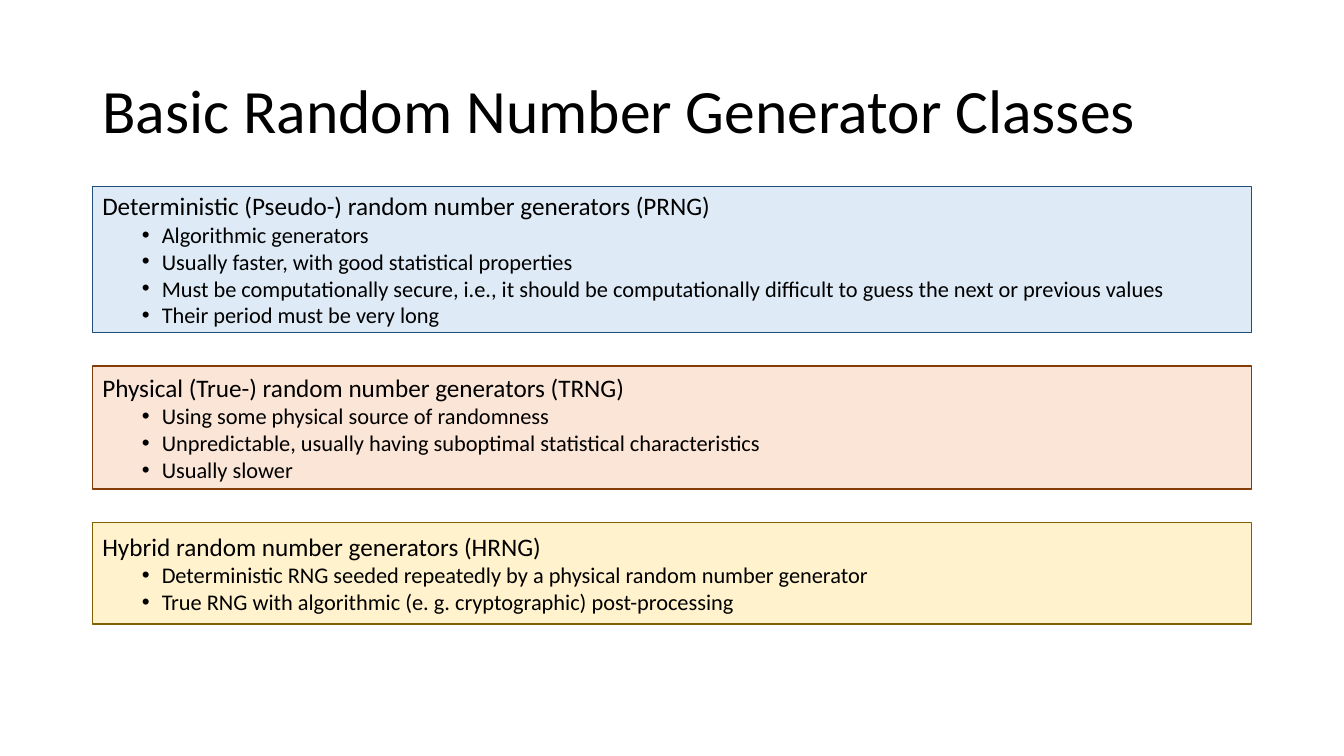
from lxml.etree import SubElement
from pptx import Presentation
from pptx.dml.color import RGBColor
from pptx.enum.shapes import MSO_SHAPE
from pptx.enum.text import MSO_ANCHOR, PP_ALIGN
from pptx.oxml.ns import qn
from pptx.util import Pt

COLORS = {
    "text": "000000",
    "blue": "DEEBF7", "navy": "1F4E79",
    "peach": "FBE5D6", "brown": "843C0B",
    "cream": "FFF2CC", "olive": "806000",
}
LEFT, WIDTH, GAP = 66, 828, 23.8


def color(name):
    return RGBColor.from_string(COLORS[name])


def write(frame, text, size=16, bullet=False, spacing=None):
    frame.word_wrap = True
    frame.vertical_anchor = MSO_ANCHOR.MIDDLE
    first = frame.paragraphs[0]
    para = frame.add_paragraph() if first.runs else first
    para.alignment = PP_ALIGN.LEFT
    if spacing:
        para.line_spacing = spacing
    if bullet:
        para.level = 1
        props = para._p.get_or_add_pPr()
        props.set("marL", str(Pt(42.5)))
        props.set("indent", str(Pt(-14.2)))
        SubElement(props, qn("a:buFont"), typeface="Arial")
        SubElement(props, qn("a:buChar"), char="•")
    run = para.add_run()
    run.text = text
    run.font.name = "Calibri"
    run.font.size = Pt(size)
    run.font.color.rgb = color("text")


deck = Presentation()
deck.slide_width, deck.slide_height = Pt(960), Pt(540)
slide = deck.slides.add_slide(deck.slide_layouts[6])

title = slide.shapes.add_textbox(Pt(LEFT), Pt(28.8), Pt(WIDTH), Pt(104.4))
write(title.text_frame, "Basic Random Number Generator Classes", size=44, spacing=0.9)

classes = [
    (104.4, "blue", "navy", "Deterministic (Pseudo-) random number generators (PRNG)", [
        "Algorithmic generators",
        "Usually faster, with good statistical properties",
        "Must be computationally secure, i.e., it should be computationally "
        "difficult to guess the next or previous values",
        "Their period must be very long",
    ]),
    (87.8, "peach", "brown", "Physical (True-) random number generators (TRNG)", [
        "Using some physical source of randomness",
        "Unpredictable, usually having suboptimal statistical characteristics",
        "Usually slower",
    ]),
    (72.7, "cream", "olive", "Hybrid random number generators (HRNG)", [
        "Deterministic RNG seeded repeatedly by a physical random number generator",
        "True RNG with algorithmic (e. g. cryptographic) post-processing",
    ]),
]

top = 133.2
for height, fill, line, head, points in classes:
    box = slide.shapes.add_shape(
        MSO_SHAPE.RECTANGLE, Pt(LEFT), Pt(top), Pt(WIDTH), Pt(height))
    box.shadow.inherit = False
    box.fill.solid()
    box.fill.fore_color.rgb = color(fill)
    box.line.color.rgb = color(line)
    box.line.width = Pt(1)
    write(box.text_frame, head, size=18)
    for point in points:
        write(box.text_frame, point, bullet=True)
    top += height + GAP

deck.save("out.pptx")
